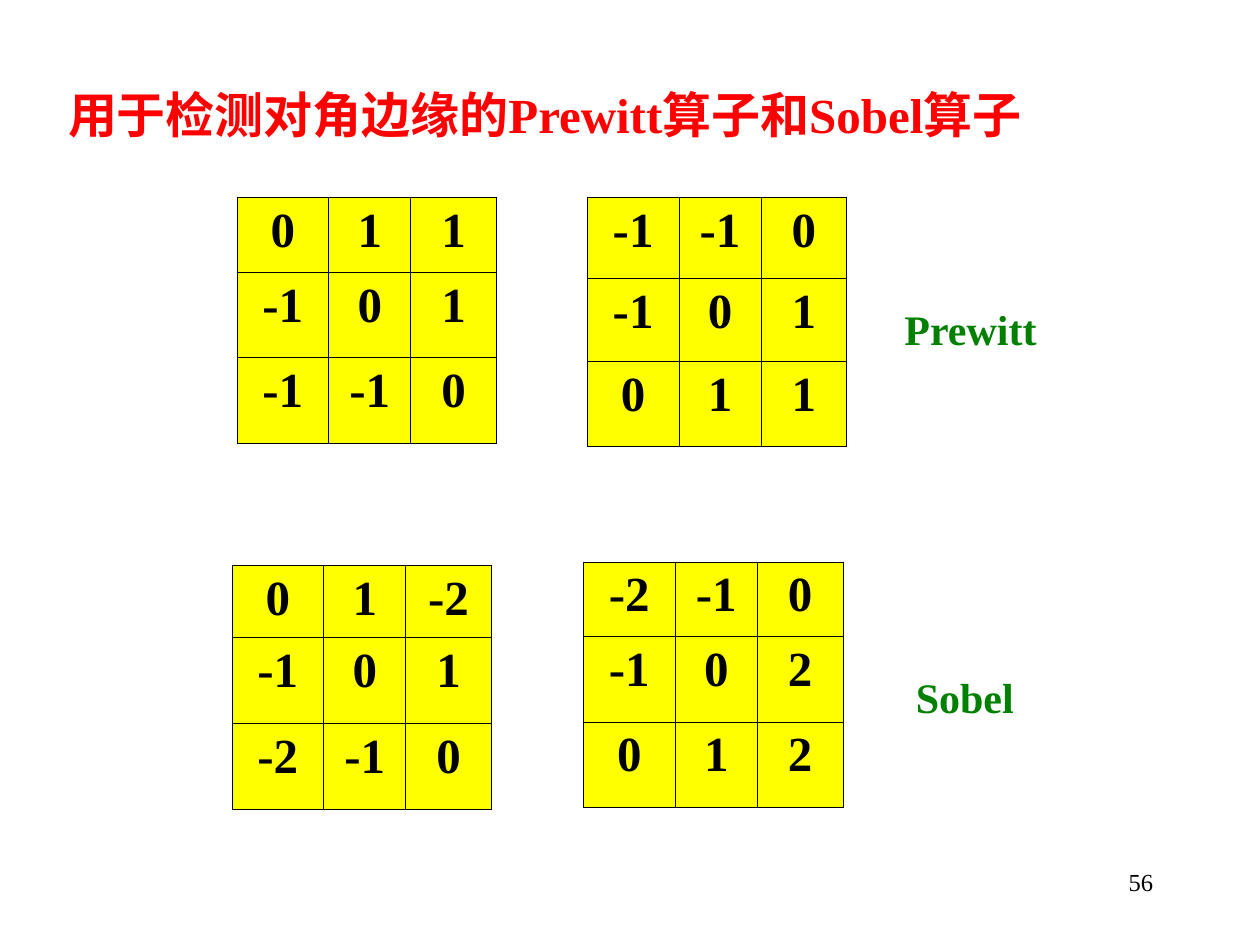
import pptx
import pptx.util
import pptx.dml.color
import pptx.enum.text
import pptx.oxml
import pptx.oxml.ns
from pptx.util import Inches

FONT = "Times New Roman"
BLACK, RED, GREEN, YELLOW = "000000", "FF0000", "008000", "FFFF00"
ALIGN = pptx.enum.text.PP_ALIGN

# Content
TITLE = "用于检测对角边缘的Prewitt算子和Sobel算子"
PAGE_NUMBER = "56"
COLUMN_WIDTHS = (0.73, 0.65, 0.68)
# left, top, row heights, values
KERNELS = [
    (1.88, 1.57, (0.59, 0.68, 0.68), [(0, 1, 1), (-1, 0, 1), (-1, -1, 0)]),
    (4.66, 1.57, (0.64, 0.66, 0.67), [(-1, -1, 0), (-1, 0, 1), (0, 1, 1)]),
    (1.84, 4.49, (0.57, 0.68, 0.68), [(0, 1, -2), (-1, 0, 1), (-2, -1, 0)]),
    (4.63, 4.46, (0.59, 0.68, 0.68), [(-2, -1, 0), (-1, 0, 2), (0, 1, 2)]),
]
# text, left, top, width
LABELS = [("Prewitt", 7.08, 2.36, 1.34), ("Sobel", 7.17, 5.28, 1.06)]


def rgb(color):
    return pptx.dml.color.RGBColor.from_string(color)


def write(frame, text, size=28, color=BLACK, bold=True, align=ALIGN.LEFT, wrap=True):
    frame.word_wrap = wrap
    para = frame.paragraphs[0]
    para.alignment = align
    span = para.add_run()
    span.text = text
    span.font.name = FONT
    span.font.size = pptx.util.Pt(size)
    span.font.bold = bold
    span.font.color.rgb = rgb(color)


def add_text(page, text, left, top, width, height, **style):
    box = page.shapes.add_textbox(*map(Inches, (left, top, width, height)))
    write(box.text_frame, text, **style)


def add_borders(cell, color=BLACK, points=0.45):
    properties = cell._tc.get_or_add_tcPr()
    for index, side in enumerate(("lnL", "lnR", "lnT", "lnB")):
        properties.insert(index, pptx.oxml.parse_xml(
            f'<a:{side} {pptx.oxml.ns.nsdecls("a")} w="{pptx.util.Pt(points)}">'
            f'<a:solidFill><a:srgbClr val="{color}"/></a:solidFill></a:{side}>'))


def add_kernel(page, left, top, heights, values):
    size = (sum(COLUMN_WIDTHS), sum(heights))
    table = page.shapes.add_table(
        len(values), len(COLUMN_WIDTHS), *map(Inches, (left, top, *size))).table
    table.first_row = table.horz_banding = False
    for column, width in zip(table.columns, COLUMN_WIDTHS):
        column.width = Inches(width)
    for row, height, numbers in zip(table.rows, heights, values):
        row.height = Inches(height)
        for cell, number in zip(row.cells, numbers):
            write(cell.text_frame, str(number), align=ALIGN.CENTER)
            cell.fill.solid()
            cell.fill.fore_color.rgb = rgb(YELLOW)
            add_borders(cell)


def main():
    deck = pptx.Presentation()
    deck.slide_width, deck.slide_height = Inches(10), Inches(7.5)
    page = deck.slides.add_slide(deck.slide_layouts[5])

    # Title
    title = page.shapes.title
    title.left, title.top = Inches(0.44), Inches(0.62)
    title.width, title.height = Inches(7.97), Inches(1.04)
    title.text_frame.auto_size = pptx.enum.text.MSO_AUTO_SIZE.NONE
    title.text_frame.vertical_anchor = pptx.enum.text.MSO_ANCHOR.TOP
    write(title.text_frame, TITLE, color=RED)

    # Operator kernels and their names
    for kernel in KERNELS:
        add_kernel(page, *kernel)
    for text, left, top, width in LABELS:
        add_text(page, text, left, top, width, 0.5, size=24, color=GREEN, wrap=False)

    # Page number
    add_text(page, PAGE_NUMBER, 7.17, 6.83, 2.08, 0.5,
             size=14, bold=False, align=ALIGN.RIGHT)
    deck.save("out.pptx")


if __name__ == "__main__":
    main()
